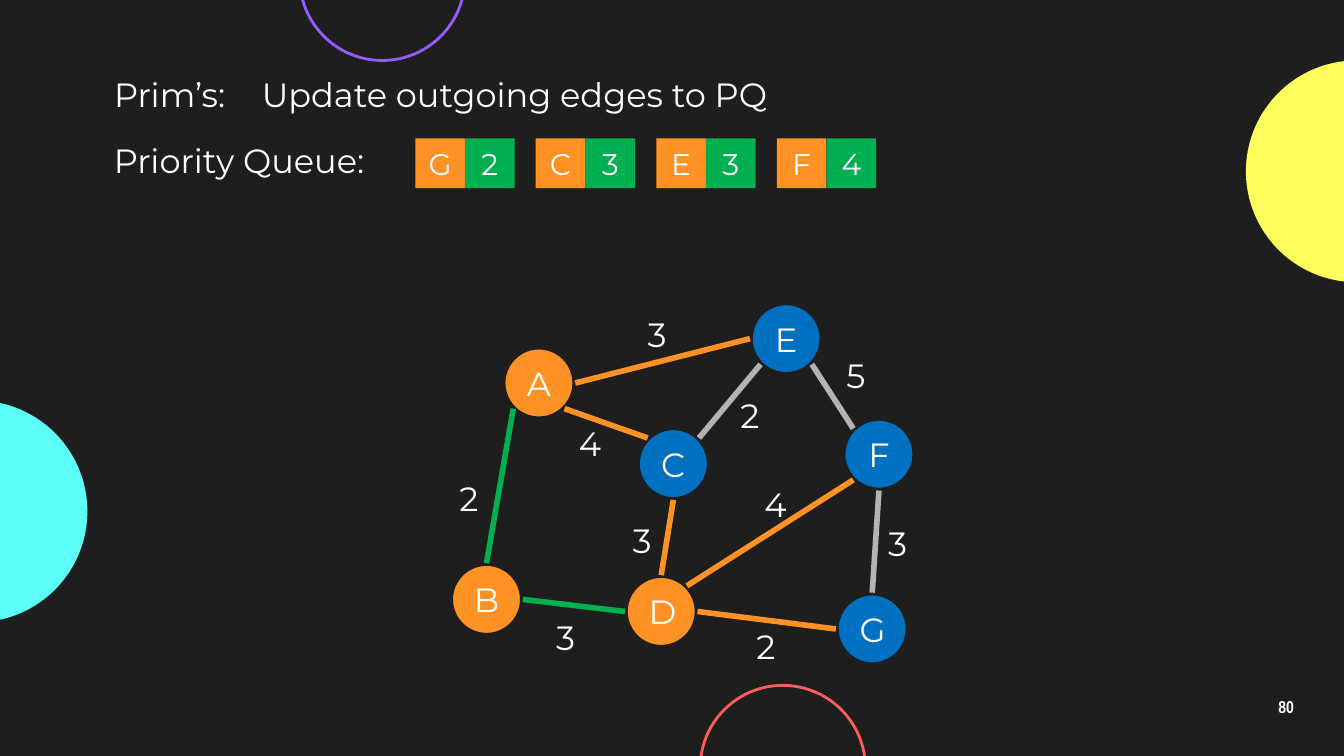
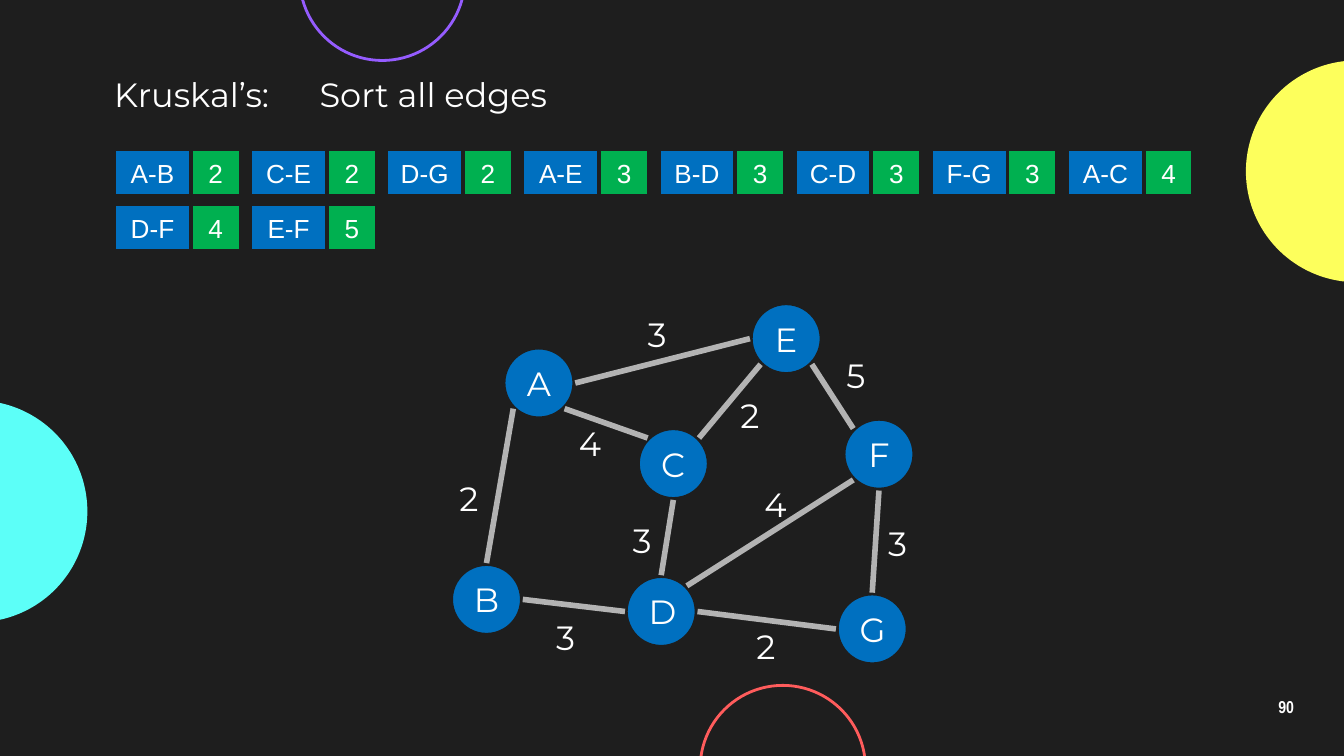
from math import cos, radians, sin

from lxml import etree
from pptx import Presentation, util as u
from pptx.dml.color import RGBColor
from pptx.enum import shapes, text
from pptx.oxml.ns import qn

SLIDE_WIDTH = 10
SLIDE_HEIGHT = SLIDE_WIDTH * 9 / 16
DARK, WHITE, GREY = "1E1E1E", "FFFFFF", "B3B3B3"
BLUE, ORANGE, GREEN = "0070C0", "FF9225", "00B050"
FONT = "Montserrat"
OVAL, RECTANGLE = shapes.MSO_SHAPE.OVAL, shapes.MSO_SHAPE.RECTANGLE

# Left, top, diameter, fill, outline
DECOR_CIRCLES = [
    (-1, 2.98, 1.65, "5CFFF8", None),
    (9.27, 0.45, 1.65, "FDFF5C", None),
    (2.23, -0.78, 1.23, None, "955CFF"),
    (5.21, 5.1, 1.23, None, "FF5C5C"),
]

NODE_SIZE = 0.54
NODES = {
    "A": (3.74, 2.58), "E": (5.58, 2.25), "C": (4.74, 3.18), "F": (6.27, 3.11),
    "D": (4.65, 4.28), "G": (6.22, 4.41), "B": (3.35, 4.19),
}

# Clockwise angles at which edges meet the node circles
RIGHT, BOTTOM_RIGHT, BOTTOM, BOTTOM_LEFT = 0, 45, 90, 135
LEFT, TOP_LEFT, TOP, TOP_RIGHT = 180, 225, 270, 315

# Ends, weight, angle at each end, weight label position
EDGES = [
    ("A-E", 3, RIGHT, LEFT, (4.72, 2.29)),
    ("A-C", 4, BOTTOM_RIGHT, TOP_LEFT, (4.21, 3.1)),
    ("C-E", 2, TOP_RIGHT, BOTTOM_LEFT, (5.41, 2.89)),
    ("A-B", 2, BOTTOM_LEFT, TOP, (3.32, 3.51)),
    ("B-D", 3, RIGHT, LEFT, (4.04, 4.54)),
    ("C-D", 3, BOTTOM, TOP, (4.61, 3.82)),
    ("D-F", 4, TOP_RIGHT, BOTTOM_LEFT, (5.59, 3.55)),
    ("D-G", 2, RIGHT, LEFT, (5.53, 4.61)),
    ("F-G", 3, BOTTOM, TOP, (6.51, 3.84)),
    ("E-F", 5, BOTTOM_RIGHT, TOP_LEFT, (6.2, 2.59)),
]

PRIM = {
    "number": "80",
    "title": ("Prim’s:", 1.08),
    "labels": [("Update outgoing edges to PQ", 1.85, 0.5, 4.11),
               ("Priority Queue:", 0.75, 0.99, 2.16)],
    "visited": "ABD",
    "pairs": [("G", 2), ("C", 3), ("E", 3), ("F", 4)],
    "pair_style": {"first_left": 3.09, "last_left": 5.78, "columns": 4,
                   "top": 1.03, "row_step": 0, "widths": (0.37, 0.37),
                   "height": 0.37, "fills": (ORANGE, GREEN), "outline": None,
                   "font": {"size": u.Pt(16), "name": FONT}},
}
KRUSKAL = {
    "number": "90",
    "title": ("Kruskal’s:", 1.43),
    "labels": [("Sort all edges", 2.28, 0.5, 1.97)],
    "visited": "",
    "pairs": sorted(((edge[0], edge[1]) for edge in EDGES),
                    key=lambda pair: (pair[1], pair[0])),
    "pair_style": {"first_left": 0.85, "last_left": 7.94, "columns": 8,
                   "top": 1.11, "row_step": 0.41, "widths": (0.57, 0.37),
                   "height": 0.35, "fills": (BLUE, GREEN), "outline": DARK,
                   "font": {"size": u.Pt(14), "name": "Arial"}},
}


def color(value):
    return RGBColor.from_string(value)


def inches(*values):
    return [u.Inches(value) for value in values]


def set_text(shape, words, align=text.PP_ALIGN.LEFT, anchor=text.MSO_ANCHOR.TOP,
             frame_format=None, **font_format):
    frame = shape.text_frame
    frame.text = words
    for name, value in {"vertical_anchor": anchor, "word_wrap": True,
                        **(frame_format or {})}.items():
        setattr(frame, name, value)
    paragraph = frame.paragraphs[0]
    paragraph.alignment = align
    for name, value in {"size": u.Pt(18), "name": FONT, **font_format}.items():
        setattr(paragraph.font, name, value)
    paragraph.font.color.rgb = color(WHITE)
    return paragraph


def add_label(slide, words, left, top, width, **frame_format):
    box = slide.shapes.add_textbox(*inches(left, top, width, 0.4))
    set_text(box, words, frame_format=frame_format)


def add_block(parent, kind, position, fill, outline, line_width, words="", **font_format):
    """Add a filled or outlined shape with centred text to a slide or group."""
    shape = parent.shapes.add_shape(kind, *inches(*position))
    shape.shadow.inherit = False
    if fill:
        shape.fill.solid()
        shape.fill.fore_color.rgb = color(fill)
    else:
        shape.fill.background()
    if outline:
        shape.line.color.rgb = color(outline)
        shape.line.width = u.Pt(line_width)
    else:
        shape.line.fill.background()
    if words:
        set_text(shape, words, text.PP_ALIGN.CENTER, text.MSO_ANCHOR.MIDDLE, **font_format)
    return shape


def decorate_master(presentation, slide):
    """Set the shared background and move the decorative circles to the master."""
    master = presentation.slide_master
    master.background.fill.solid()
    master.background.fill.fore_color.rgb = color(DARK)
    for left, top, size, fill, outline in DECOR_CIRCLES:
        circle = add_block(slide, OVAL, (left, top, size, size), fill, outline, 1.5)
        master.shapes.element.append(circle.element)


def rim_point(node, angle):
    radius = NODE_SIZE / 2
    left, top = NODES[node]
    return (left + radius * (1 + cos(radians(angle))),
            top + radius * (1 + sin(radians(angle))))


def add_graph(slide, visited):
    """Edges inside the visited set are green, edges leaving it are orange."""
    for node, (left, top) in NODES.items():
        add_block(slide, OVAL, (left, top, NODE_SIZE, NODE_SIZE),
                  ORANGE if node in visited else BLUE, DARK, 3, node)
    for name, weight, start_angle, end_angle, label_position in EDGES:
        start, end = name.split("-")
        line = slide.shapes.add_connector(
            shapes.MSO_CONNECTOR.STRAIGHT,
            *inches(*rim_point(start, start_angle), *rim_point(end, end_angle)))
        visited_ends = (start in visited) + (end in visited)
        line.line.color.rgb = color((GREY, ORANGE, GREEN)[visited_ends])
        line.line.width = u.Pt(3)
        etree.SubElement(line.element.spPr, qn("a:effectLst"))
        add_label(slide, str(weight), *label_position, 0.37)


def add_pairs(slide, pairs, style):
    columns = style["columns"]
    step = (style["last_left"] - style["first_left"]) / (columns - 1)
    for index, pair in enumerate(pairs):
        row, column = divmod(index, columns)
        left = style["first_left"] + column * step
        top = style["top"] + row * style["row_step"]
        group = slide.shapes.add_group_shape()
        for words, width, fill in zip(pair, style["widths"], style["fills"]):
            add_block(group, RECTANGLE, (left, top, width, style["height"]), fill,
                      style["outline"], 2, str(words), **style["font"])
            left += width


def add_title(slide, words, width):
    title = slide.shapes.title
    title.left, title.top, title.width, title.height = inches(0.75, 0.5, width, 0.4)
    set_text(title, words, frame_format={
        "word_wrap": False, "auto_size": text.MSO_AUTO_SIZE.SHAPE_TO_FIT_TEXT})


def add_number(slide, number):
    box = slide.shapes.add_textbox(*inches(9.27, 5.1, 0.6, 0.34))
    margins = {f"margin_{side}": u.Inches(0.1) for side in ("left", "top", "right", "bottom")}
    paragraph = set_text(box, number, text.PP_ALIGN.CENTER, text.MSO_ANCHOR.MIDDLE,
                         margins, size=u.Pt(9.2), name="Arial Narrow", bold=True)
    paragraph.line_spacing = 0.9


def main():
    presentation = Presentation()
    presentation.slide_width = u.Inches(SLIDE_WIDTH)
    presentation.slide_height = u.Inches(SLIDE_HEIGHT)
    title_only = presentation.slide_layouts[5]
    for content in (PRIM, KRUSKAL):
        slide = presentation.slides.add_slide(title_only)
        if content is PRIM:
            decorate_master(presentation, slide)
        add_number(slide, content["number"])
        add_graph(slide, content["visited"])
        add_title(slide, *content["title"])
        for label in content["labels"]:
            add_label(slide, *label, word_wrap=False)
        add_pairs(slide, content["pairs"], content["pair_style"])
    presentation.save("out.pptx")


if __name__ == "__main__":
    main()
